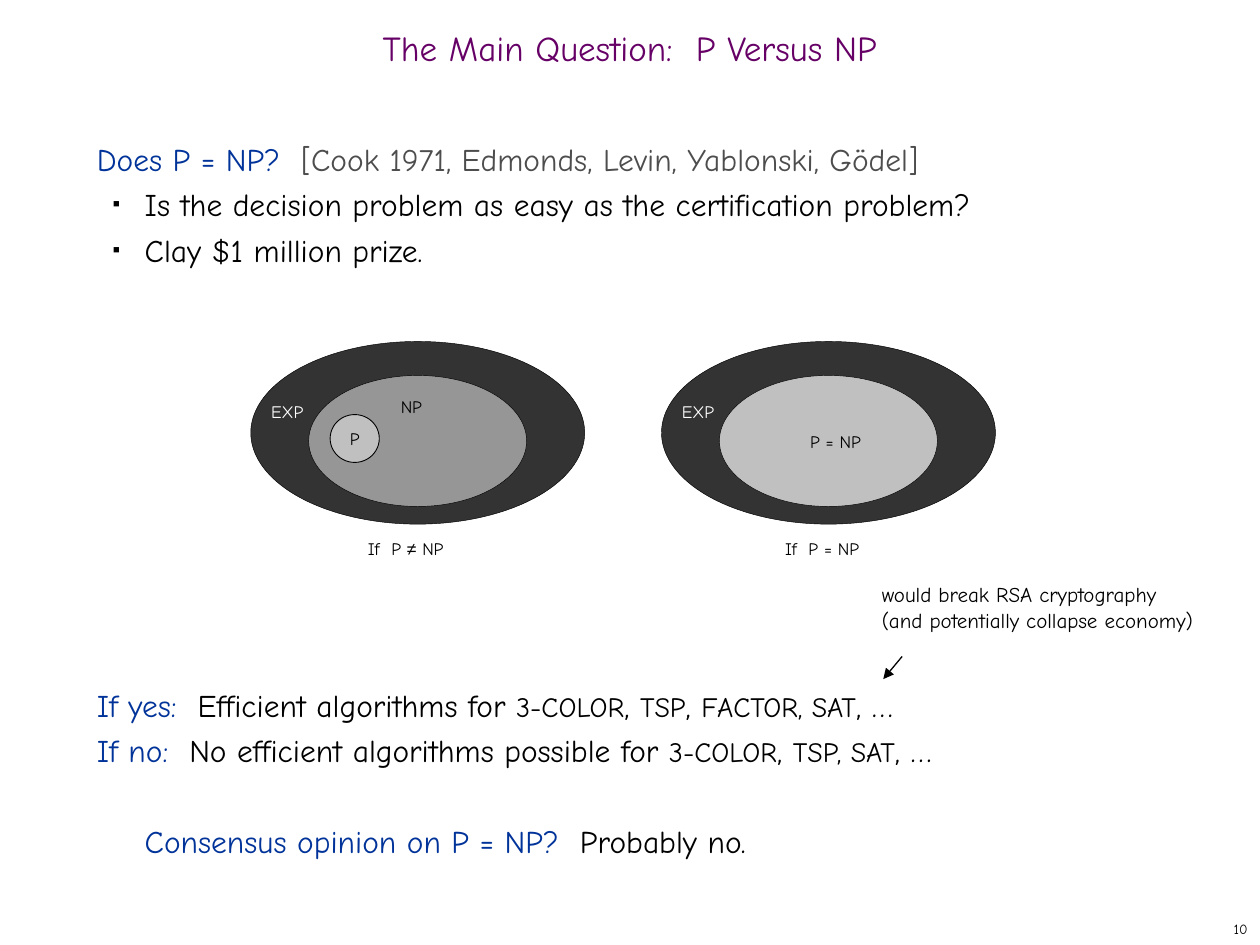
from lxml.etree import SubElement
from pptx import Presentation
from pptx.dml.color import RGBColor
from pptx.enum.shapes import MSO_CONNECTOR, MSO_SHAPE
from pptx.enum.text import MSO_ANCHOR as Anchor, MSO_AUTO_SIZE as AutoSize, PP_ALIGN as Align
from pptx.oxml.ns import qn
from pptx.util import Inches, Pt

PURPLE = RGBColor(0x66, 0x00, 0x66)
BLUE = RGBColor(0x00, 0x33, 0x99)
GRAY = RGBColor(0x4D, 0x4D, 0x4D)
BLACK = RGBColor(0x00, 0x00, 0x00)
WHITE = RGBColor(0xFF, 0xFF, 0xFF)
OUTLINE = RGBColor(0x01, 0x00, 0x00)
EXP_FILL = RGBColor(0x33, 0x33, 0x33)
NP_FILL = RGBColor(0x96, 0x96, 0x96)
P_FILL = RGBColor(0xC0, 0xC0, 0xC0)

COLUMNS, ROWS = 100, 75
BODY_LEADING = 26


def write(paragraph, text, *, size=18, color=BLACK, font="Comic Neue"):
    for index, line in enumerate(text.split("\n")):
        if index:
            paragraph.add_line_break()
        run = paragraph.add_run()
        run.text = line
        run.font.size = Pt(size)
        run.font.name = font
        run.font.color.rgb = color


class SlideBuilder:
    def __init__(self, presentation):
        self.cell_width = presentation.slide_width / COLUMNS
        self.cell_height = presentation.slide_height / ROWS
        self.slide = presentation.slides.add_slide(presentation.slide_layouts[5])

    def place(self, left, top, width, height):
        return (round(left * self.cell_width), round(top * self.cell_height),
                round(width * self.cell_width), round(height * self.cell_height))

    def title(self, text, *box):
        shape = self.slide.shapes.title
        shape.left, shape.top, shape.width, shape.height = self.place(*box)
        frame = shape.text_frame
        frame.auto_size = AutoSize.NONE
        frame.vertical_anchor = Anchor.MIDDLE
        paragraph = frame.paragraphs[0]
        paragraph.alignment = Align.CENTER
        paragraph.line_spacing = 0.7
        write(paragraph, text, size=20, color=PURPLE)

    def text_box(self, *box, wrap=True, anchor=Anchor.TOP):
        frame = self.slide.shapes.add_textbox(*self.place(*box)).text_frame
        frame.word_wrap = wrap
        frame.vertical_anchor = anchor
        return frame

    def label(self, runs, *box, align=Align.CENTER, anchor=Anchor.TOP, wrap=False):
        paragraph = self.text_box(*box, wrap=wrap, anchor=anchor).paragraphs[0]
        paragraph.alignment = align
        for text, style in runs:
            write(paragraph, text, **{"size": 10, **style})

    def body(self, lines, *box):
        frame = self.text_box(*box)
        for index, (runs, layout) in enumerate(lines):
            paragraph = frame.add_paragraph() if index else frame.paragraphs[0]
            paragraph.line_spacing = Pt(BODY_LEADING)
            paragraph.space_before = Pt(BODY_LEADING * layout.get("skip", 0))
            for text, style in runs:
                write(paragraph, text, **style)
            if layout.get("indent"):
                self.indent(paragraph, layout.get("bullet", False))

    def indent(self, paragraph, bullet):
        properties = paragraph._p.get_or_add_pPr()
        properties.set("marL", str(Inches(0.38)))
        properties.set("indent", str(Inches(-0.25) if bullet else 0))
        if bullet:
            bullet_color = SubElement(properties, qn("a:buClr"))
            SubElement(bullet_color, qn("a:srgbClr"), val=str(BLACK))
            SubElement(properties, qn("a:buSzPct"), val="35000")
            SubElement(properties, qn("a:buFont"), typeface="Arial")
            SubElement(properties, qn("a:buChar"), char="■")

    def ellipse(self, fill, *box, line_width=0.25, text=None):
        shape = self.slide.shapes.add_shape(MSO_SHAPE.OVAL, *self.place(*box))
        shape.shadow.inherit = False
        shape.fill.solid()
        shape.fill.fore_color.rgb = fill
        shape.line.color.rgb = OUTLINE
        shape.line.width = Pt(line_width)
        if text:
            frame = shape.text_frame
            frame.word_wrap = False
            frame.vertical_anchor = Anchor.MIDDLE
            frame.paragraphs[0].alignment = Align.CENTER
            write(frame.paragraphs[0], text, size=10)

    def nested_sets(self, left, inner_fill):
        self.ellipse(EXP_FILL, left, 27.1, 26.5, 14.5)
        self.label([("EXP", {"color": WHITE})], left + 0.5, 31.3, 4.8, 2.7)
        self.ellipse(inner_fill, left + 4.6, 29.8, 17.3, 10.4)

    def arrow(self, start, end):
        x1, y1, x2, y2 = self.place(*start, *end)
        connector = self.slide.shapes.add_connector(MSO_CONNECTOR.STRAIGHT, x1, y1, x2, y2)
        connector.line.color.rgb = BLACK
        connector.line.width = Pt(0.75)
        SubElement(connector.line._get_or_add_ln(), qn("a:tailEnd"), type="triangle")
        SubElement(connector._element.spPr, qn("a:effectLst"))


def main():
    presentation = Presentation()
    presentation.slide_width, presentation.slide_height = Inches(10), Inches(7.5)
    builder = SlideBuilder(presentation)
    builder.title("The Main Question:  P Versus NP", 0, 1.7, 100, 5)

    heading, plain, small = {"color": BLUE}, {}, {"size": 16}
    builder.body([
        ([("Does P = NP?  ", heading),
          ("[Cook 1971, Edmonds, Levin, Yablonski, Gödel]", {"color": GRAY})], {}),
        ([("Is the decision problem as easy as the certification problem?", plain)],
         {"indent": True, "bullet": True}),
        ([("Clay $1 million prize.", plain)], {"indent": True, "bullet": True}),
        ([("If yes:  ", heading), ("Efficient algorithms for ", plain), ("3-COLOR", small),
          (", ", plain), ("TSP", small), (", ", plain), ("FACTOR, SAT", small),
          (", …", plain)], {"skip": 9}),
        ([("If no:  ", heading), ("No efficient algorithms possible for ", plain),
          ("3-COLOR", small), (", ", plain), ("TSP, SAT", small), (", …", plain)], {}),
        ([("Consensus opinion on P = NP?  ", heading), ("Probably no.", plain)],
         {"skip": 1, "indent": True}),
    ], 6.7, 10, 85.8, 59.2)

    dark = {"color": OUTLINE}
    builder.nested_sets(19.9, NP_FILL)
    builder.label([("NP", plain)], 30.6, 30.9, 4.1, 2.7)
    builder.ellipse(P_FILL, 26.2, 32.9, 3.9, 3.8, line_width=0.5, text="P")
    builder.label([("If  P ", dark), ("≠", {"color": OUTLINE, "font": "Arial"}), (" NP", dark)],
                  27.1, 42.2, 10.2, 2.7)

    builder.nested_sets(52.5, P_FILL)
    builder.label([("P = NP", dark)], 60.2, 33.7, 12.2, 2.7)
    builder.label([("If  P = NP", dark)], 60.2, 42.2, 10.1, 2.7)

    builder.label([("would break RSA cryptography\n(and potentially collapse economy)",
                    {"size": 12})], 69, 45.7, 28.3, 5, align=Align.LEFT)
    builder.arrow((71.6, 52.1), (70.1, 53.9))
    builder.label([("10", {"size": 8})], 79.2, 72.5, 20.8, 2.5,
                  align=Align.RIGHT, anchor=Anchor.MIDDLE, wrap=True)
    presentation.save("out.pptx")


if __name__ == "__main__":
    main()
